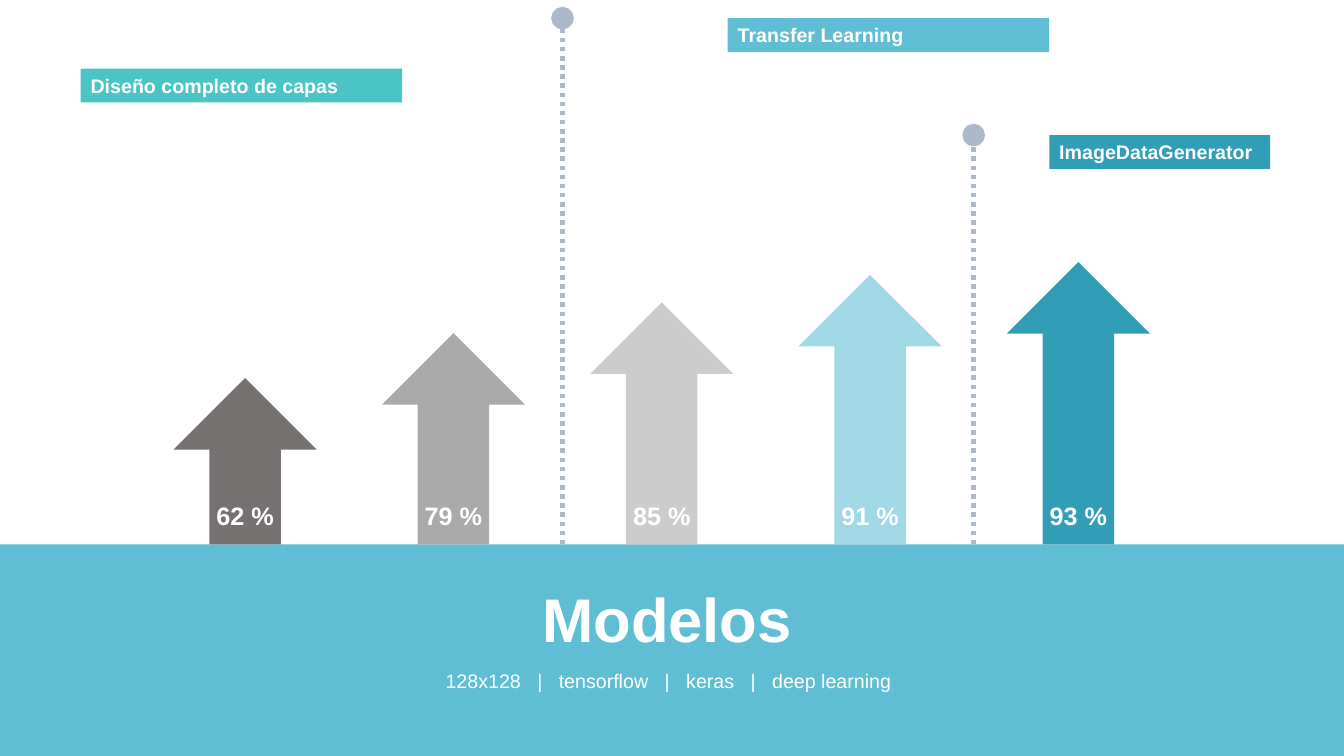
from lxml import etree
from pptx import Presentation
from pptx import util as u
from pptx.dml.color import RGBColor
from pptx.enum import dml, shapes, text
from pptx.oxml.ns import qn

Pt = u.Pt
WIDTH, HEIGHT = 960, 540
BASE = 388.8
SKY, TEAL, WHITE, SLATE = "60BED4", "319DB6", "FFFFFF", "ADB9CA"

MODELS = [
    ("62 %", 118.8, "767171", 77.8),
    ("79 %", 150.8, "AAAAAA", 55.4),
    ("85 %", 172.8, "CCCCCC", 55.4),
    ("91 %", 192.5, "A0D8E5", 55.4),
    ("93 %", 201.6, TEAL, 55.4),
]
TAGS = [
    ("Transfer Learning", 519.8, 13, 229.7, SKY),
    ("Diseño completo de capas", 57.6, 49, 229.7, "4AC4C4"),
    ("ImageDataGenerator", 749.5, 96.5, 157.7, TEAL),
]
DIVIDERS = [(401.8, 13), (695.5, 96.5)]
TOPICS = ["128x128", "tensorflow", "keras", "deep learning"]


def rgb(value):
    return RGBColor.from_string(value)


def add_block(s, kind, x, y, w, h, color):
    sp = s.shapes.add_shape(kind, Pt(x), Pt(y), Pt(w), Pt(h))
    sp.shadow.inherit = False
    sp.fill.solid()
    sp.fill.fore_color.rgb = rgb(color)
    sp.line.fill.background()
    return sp


def add_run(p, content, size, bold, spacing=0):
    r = p.add_run()
    r.text = content
    r.font.name = "Arial"
    r.font.size = Pt(size)
    r.font.bold = bold
    r.font.color.rgb = rgb(WHITE)
    if spacing:
        r._r.get_or_add_rPr().set("spc", str(int(spacing * 100)))


def write(sp, content, size=14, bold=True, align="CENTER", left=7.2, right=7.2,
          wrap=True, gap=0):
    tf = sp.text_frame
    tf.word_wrap = wrap
    tf.margin_left, tf.margin_right = Pt(left), Pt(right)
    tf.margin_top = tf.margin_bottom = Pt(3.6)
    tf.vertical_anchor = text.MSO_ANCHOR.TOP
    p = tf.paragraphs[0]
    p.alignment = getattr(text.PP_ALIGN, align)
    parts = [content] if isinstance(content, str) else content
    for i, part in enumerate(parts):
        if i:
            add_run(p, " |", size, bold, gap)
            add_run(p, " ", size, bold)
        add_run(p, part, size, bold)


def add_label(s, content, x, y, w, h, **fmt):
    sp = s.shapes.add_textbox(Pt(x), Pt(y), Pt(w), Pt(h))
    write(sp, content, **fmt)


def add_band(s, x, y, w, h):
    add_block(s, shapes.MSO_SHAPE.RECTANGLE, x, y, w, h, SKY)
    add_label(s, "Modelos", x + 324.7, y + 22.3, 309.6, 60.5, size=44, left=0, right=5.8)
    add_label(s, TOPICS, x + 243.4, y + 85.7, 473.8, 24.5, bold=False,
              left=0, right=5.8, gap=7.8)


def add_arrows(s, x, base, w, step):
    for i, (score, h, color, label_w) in enumerate(MODELS):
        left = x + i * step
        add_block(s, shapes.MSO_SHAPE.UP_ARROW, left, base - h, w, h, color)
        add_label(s, score, left + (w - label_w) / 2, base - 35.3, label_w, 28.8,
                  size=18, left=0, right=0, wrap=False)


def add_tag(s, content, x, y, w, h, color):
    sp = add_block(s, shapes.MSO_SHAPE.RECTANGLE, x, y, w, h, color)
    write(sp, content, align="LEFT")


def add_divider(s, x, top, base):
    line = s.shapes.add_connector(shapes.MSO_CONNECTOR.STRAIGHT,
                                  Pt(x), Pt(base), Pt(x), Pt(top))
    line.line.color.rgb = rgb(SLATE)
    line.line.width = Pt(3.25)
    line.line.dash_style = dml.MSO_LINE.ROUND_DOT
    spPr = line._element.spPr
    etree.SubElement(spPr.find(qn("a:ln")), qn("a:tailEnd"), type="oval", w="lg", len="lg")
    etree.SubElement(spPr, qn("a:effectLst"))


def main():
    prs = Presentation()
    prs.slide_width, prs.slide_height = Pt(WIDTH), Pt(HEIGHT)
    s = prs.slides.add_slide(prs.slide_layouts[6])
    add_band(s, 0, BASE, WIDTH, HEIGHT - BASE)
    add_arrows(s, 124, BASE, 102.2, 148.8)
    for content, x, y, w, color in TAGS:
        add_tag(s, content, x, y, w, 24.2, color)
    for x, top in DIVIDERS:
        add_divider(s, x, top, BASE)
    prs.save("out.pptx")


if __name__ == "__main__":
    main()
